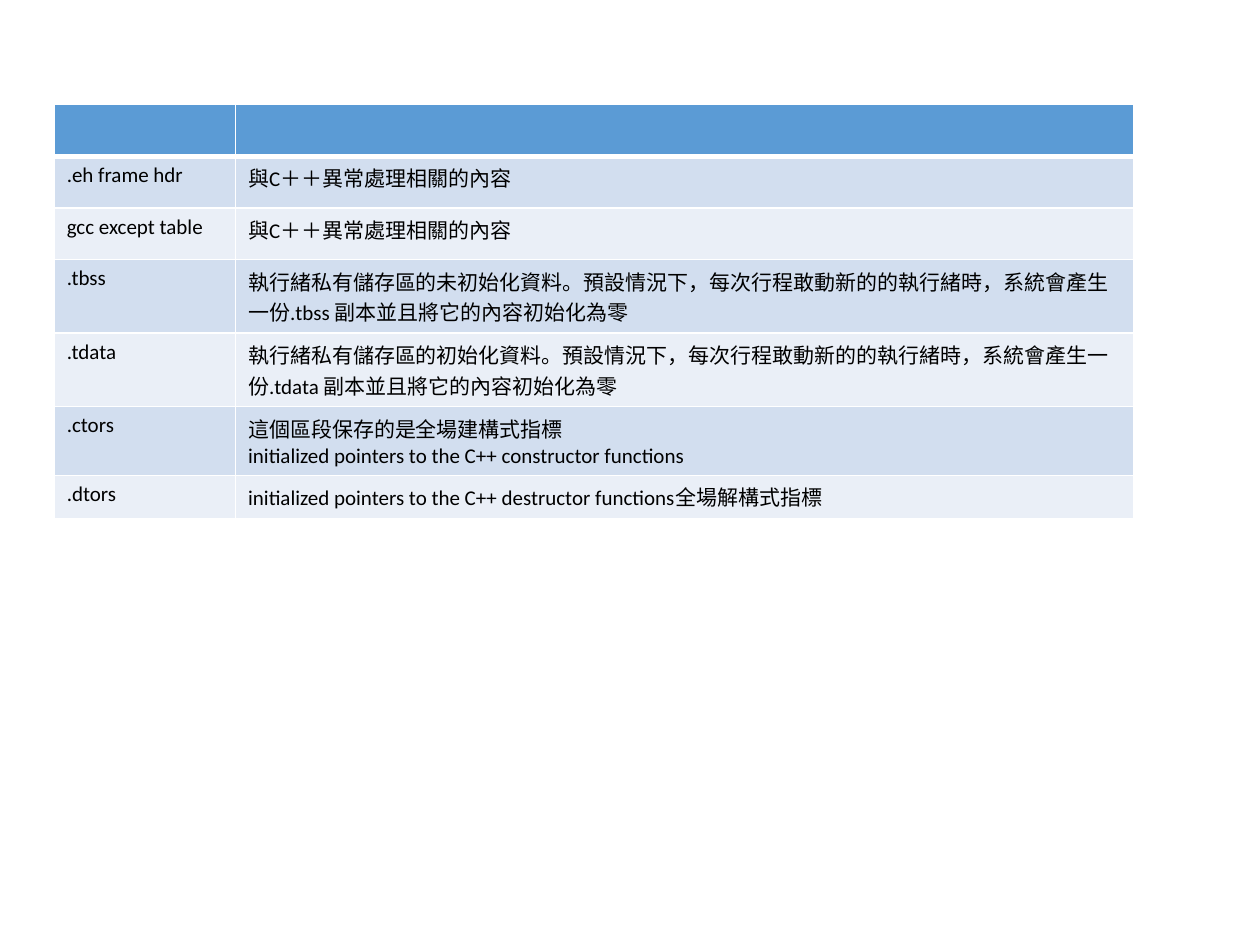
from lxml import etree
from pptx import Presentation
from pptx.dml.color import RGBColor
from pptx.oxml.ns import qn
from pptx.util import Inches, Pt

HEADER_BLUE = RGBColor(0x5B, 0x9B, 0xD5)
BAND_DARK = RGBColor(0xD2, 0xDE, 0xEF)
BAND_LIGHT = RGBColor(0xEA, 0xEF, 0xF7)
WHITE = RGBColor(0xFF, 0xFF, 0xFF)
BLACK = RGBColor(0, 0, 0)

COLUMN_WIDTHS = [1.44, 7.13]
ROW_HEIGHTS = [0.41, 0.41, 0.41, 0.41, 0.33, 0.41, 0.21]
SECTIONS = [
    ("", ""),
    (".eh frame hdr", "與C＋＋異常處理相關的內容"),
    ("gcc except table", "與C＋＋異常處理相關的內容"),
    (".tbss", "執行緒私有儲存區的未初始化資料。預設情況下，每次行程敢動新的的執行緒時，"
              "系統會產生一份.tbss 副本並且將它的內容初始化為零"),
    (".tdata", "執行緒私有儲存區的初始化資料。預設情況下，每次行程敢動新的的執行緒時，"
               "系統會產生一份.tdata 副本並且將它的內容初始化為零"),
    (".ctors", "這個區段保存的是全場建構式指標\n"
               "initialized pointers to the C++ constructor functions"),
    (".dtors", "initialized pointers to the C++ destructor functions全場解構式指標"),
]


def set_borders(cell, top, bottom):
    """Draw white cell borders; top and bottom widths are in points."""
    properties = cell._tc.get_or_add_tcPr()
    widths = {"a:lnL": 1, "a:lnR": 1, "a:lnT": top, "a:lnB": bottom}
    for index, (tag, width) in enumerate(widths.items()):
        line = etree.Element(qn(tag), w=str(Pt(width)))
        fill = etree.SubElement(line, qn("a:solidFill"))
        etree.SubElement(fill, qn("a:srgbClr"), val=str(WHITE))
        properties.insert(index, line)


def fill_cell(cell, text, color):
    cell.fill.solid()
    cell.fill.fore_color.rgb = color
    cell.text = text
    for paragraph in cell.text_frame.paragraphs:
        paragraph.font.name = "Calibri"
        paragraph.font.size = Pt(12)
        paragraph.font.color.rgb = BLACK


def add_section_table(slide, left, top, width, height):
    frame = slide.shapes.add_table(len(SECTIONS), len(COLUMN_WIDTHS),
                                   left, top, width, height)
    table = frame.table
    for column, column_width in zip(table.columns, COLUMN_WIDTHS):
        column.width = Inches(column_width)
    for row_index, (row, texts) in enumerate(zip(table.rows, SECTIONS)):
        row.height = Inches(ROW_HEIGHTS[row_index])
        # Header first, then alternating bands
        if row_index == 0:
            color = HEADER_BLUE
        else:
            color = BAND_DARK if row_index % 2 else BAND_LIGHT
        for cell, text in zip(row.cells, texts):
            fill_cell(cell, text, color)
            set_borders(cell, top=3 if row_index == 1 else 1,
                        bottom=3 if row_index == 0 else 1)


def main():
    presentation = Presentation()
    presentation.slide_width = Inches(10)
    presentation.slide_height = Inches(7.5)
    slide = presentation.slides.add_slide(presentation.slide_layouts[6])
    add_section_table(slide, Inches(0.43), Inches(0.83),
                      Inches(sum(COLUMN_WIDTHS)), Inches(sum(ROW_HEIGHTS)))
    presentation.save("out.pptx")


if __name__ == "__main__":
    main()
